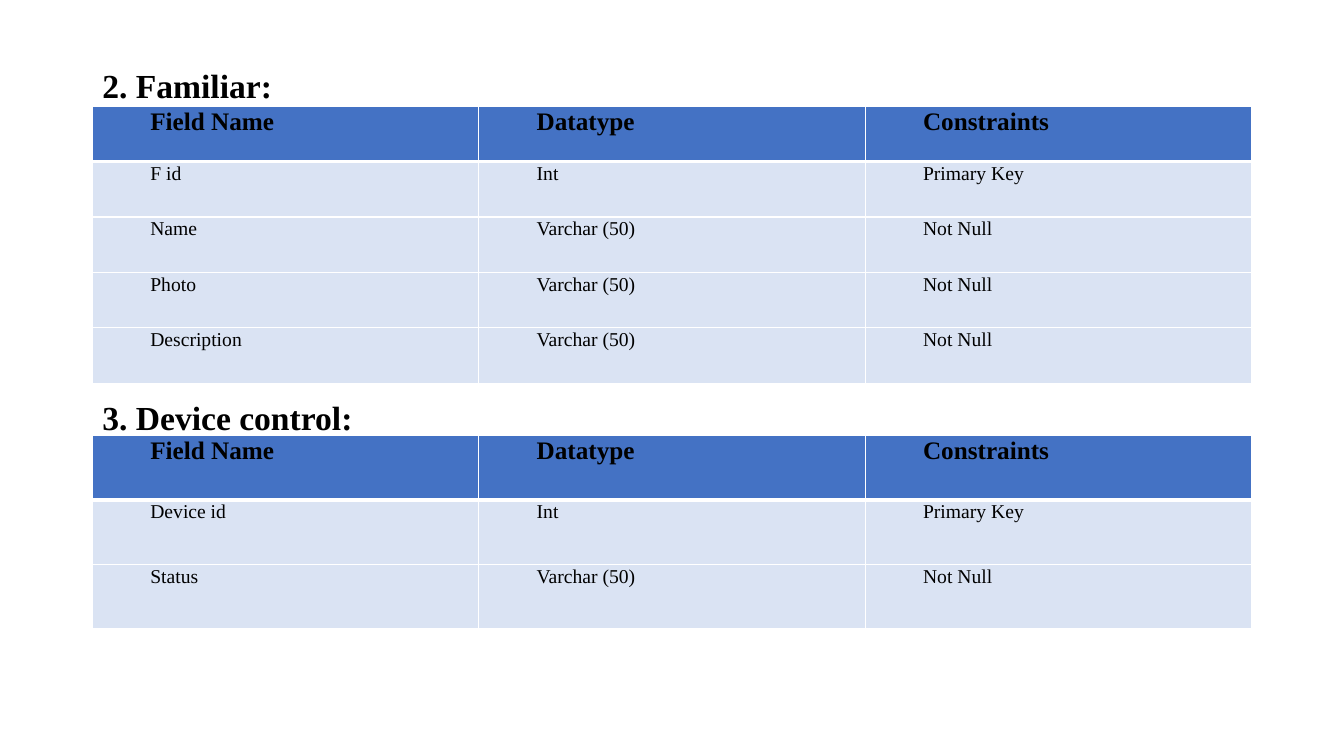
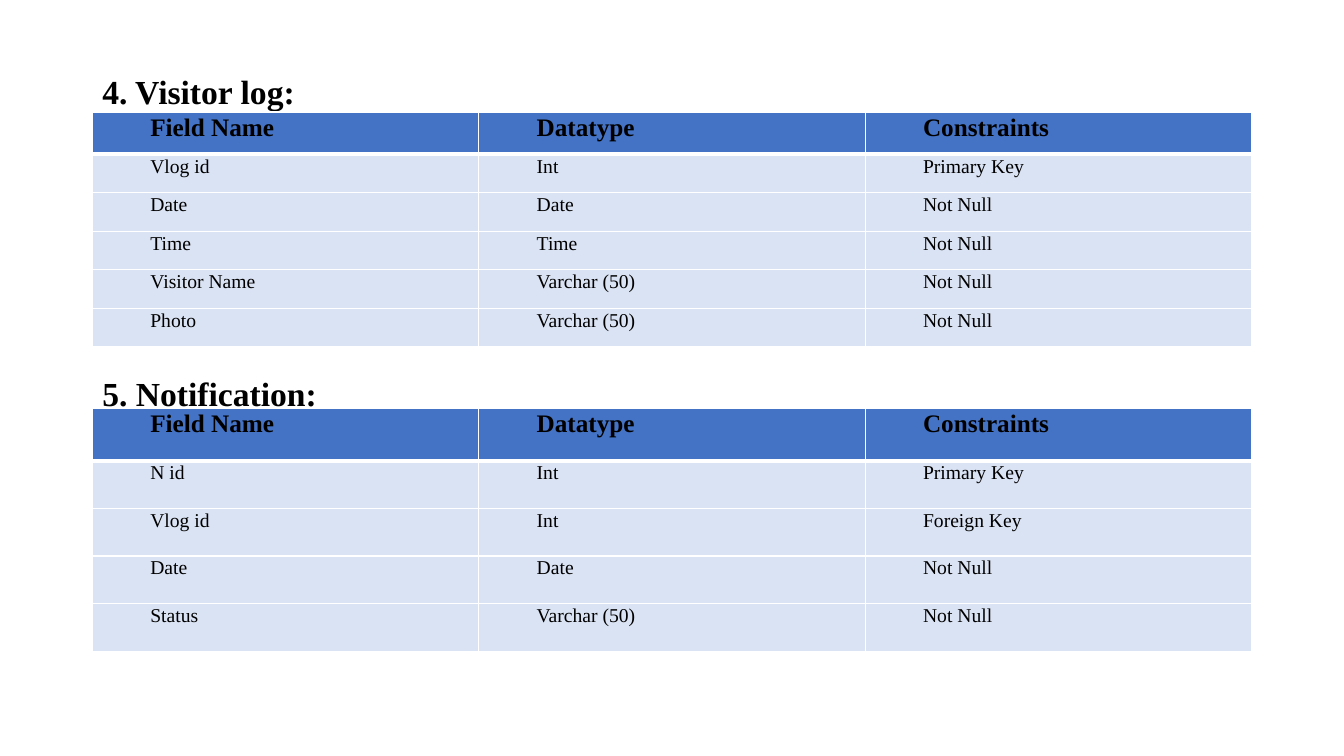
from dataclasses import dataclass

from lxml import etree
from pptx import Presentation
from pptx import util as u
from pptx.dml.color import RGBColor
from pptx.enum import text
from pptx.oxml import ns

FONT = "Times New Roman"
BLACK, WHITE, HEADER_BLUE, ROW_BLUE = "000000", "FFFFFF", "4472C4", "DAE3F3"
LEFT, COLUMN_WIDTH = 66, 276
HEADING_INSET, HEADING_HEIGHT = 7.2, 28
CELL_INSET, CELL_INDENT = 5.4, 36
THIN, THICK = 1, 3
COLUMNS = ("Field Name", "Datatype", "Constraints")


@dataclass(frozen=True)
class Section:
    heading: str
    heading_top: float
    table_top: float
    header_height: float
    row_height: float
    fields: tuple[tuple[str, str, str], ...]


SLIDES = (
    (
        Section("2. Familiar:", 46.5, 75.8, 39.6, 39.6, (
            ("F id", "Int", "Primary Key"),
            ("Name", "Varchar (50)", "Not Null"),
            ("Photo", "Varchar (50)", "Not Null"),
            ("Description", "Varchar (50)", "Not Null"),
        )),
        Section("3. Device control:", 283.6, 311, 46, 46, (
            ("Device id", "Int", "Primary Key"),
            ("Status", "Varchar (50)", "Not Null"),
        )),
    ),
    (
        Section("4. Visitor log:", 50.8, 80, 30.2, 27.5, (
            ("Vlog id", "Int", "Primary Key"),
            ("Date", "Date", "Not Null"),
            ("Time", "Time", "Not Null"),
            ("Visitor Name", "Varchar (50)", "Not Null"),
            ("Photo", "Varchar (50)", "Not Null"),
        )),
        Section("5. Notification:", 266.5, 291.8, 37.4, 34, (
            ("N id", "Int", "Primary Key"),
            ("Vlog id", "Int", "Foreign Key"),
            ("Date", "Date", "Not Null"),
            ("Status", "Varchar (50)", "Not Null"),
        )),
    ),
)


def colour(value: str) -> RGBColor:
    return RGBColor.from_string(value)


def write(para, wording: str, size: float, bold: bool) -> None:
    para.text = wording
    para.alignment = text.PP_ALIGN.LEFT
    para.font.name = FONT
    para.font.size = u.Pt(size)
    para.font.bold = bold
    para.font.color.rgb = colour(BLACK)


def add_border(cell, side: str, width: float) -> None:
    properties = cell._tc.get_or_add_tcPr()
    line = etree.SubElement(properties, ns.qn(f"a:ln{side}"), w=str(u.Pt(width)))
    fill = etree.SubElement(line, ns.qn("a:solidFill"))
    etree.SubElement(fill, ns.qn("a:srgbClr"), val=WHITE)


def fill_cell(cell, wording: str, row: int) -> None:
    is_header = row == 0
    add_border(cell, "L", THIN)
    add_border(cell, "R", THIN)
    add_border(cell, "T", THICK if row == 1 else THIN)
    add_border(cell, "B", THICK if is_header else THIN)
    cell.fill.solid()
    cell.fill.fore_color.rgb = colour(HEADER_BLUE if is_header else ROW_BLUE)
    cell.margin_left = u.Pt(CELL_INSET + CELL_INDENT)
    cell.margin_right = u.Pt(CELL_INSET)
    cell.margin_top = cell.margin_bottom = 0
    cell.vertical_anchor = text.MSO_ANCHOR.TOP
    para = cell.text_frame.paragraphs[0]
    write(para, wording, 18 if is_header else 14, is_header)
    para.line_spacing = 1.07


def add_heading(page, section: Section) -> None:
    box = page.shapes.add_textbox(
        u.Pt(LEFT), u.Pt(section.heading_top),
        u.Pt(COLUMN_WIDTH * len(COLUMNS)), u.Pt(HEADING_HEIGHT),
    )
    frame = box.text_frame
    frame.word_wrap = True
    frame.margin_left = frame.margin_right = u.Pt(HEADING_INSET)
    frame.margin_top = frame.margin_bottom = 0
    write(frame.paragraphs[0], section.heading, 24, True)


def add_field_table(page, section: Section) -> None:
    rows = (COLUMNS, *section.fields)
    height = section.header_height + section.row_height * len(section.fields)
    table = page.shapes.add_table(
        len(rows), len(COLUMNS), u.Pt(LEFT), u.Pt(section.table_top),
        u.Pt(COLUMN_WIDTH * len(COLUMNS)), u.Pt(height),
    ).table
    table.horz_banding = False
    for column in table.columns:
        column.width = u.Pt(COLUMN_WIDTH)
    for row, wordings in enumerate(rows):
        table.rows[row].height = u.Pt(section.row_height if row else section.header_height)
        for column, wording in enumerate(wordings):
            fill_cell(table.cell(row, column), wording, row)


def main() -> None:
    deck = Presentation()
    deck.slide_width, deck.slide_height = u.Pt(960), u.Pt(540)
    for sections in SLIDES:
        page = deck.slides.add_slide(deck.slide_layouts[6])
        for section in sections:
            add_heading(page, section)
            add_field_table(page, section)
    deck.save("out.pptx")


if __name__ == "__main__":
    main()
